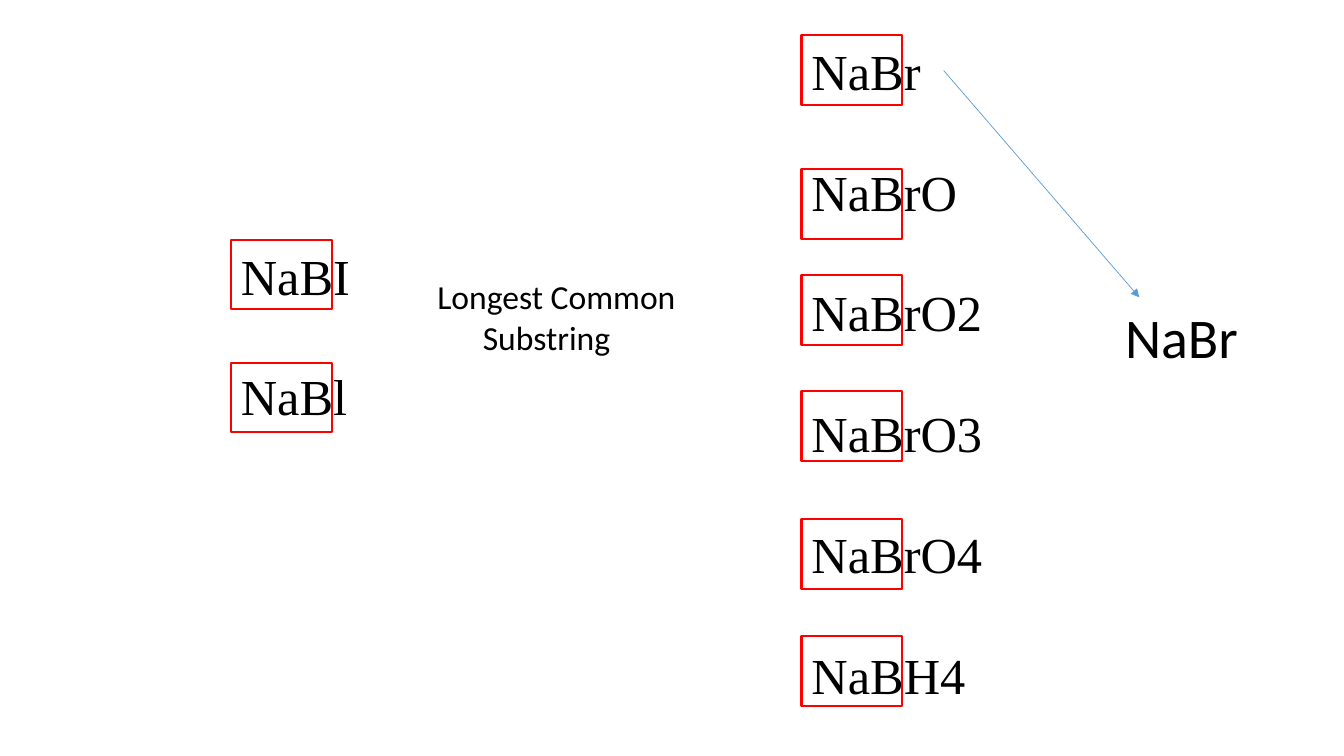
import pptx
import pptx.util
import pptx.dml.color
import pptx.enum.shapes
import pptx.oxml
import pptx.oxml.ns

Inches, Pt = pptx.util.Inches, pptx.util.Pt


def tint(code):
    """Turn a hex string into a colour."""
    return pptx.dml.color.RGBColor.from_string(code)


def write(text, left, top, width, height, font="Calibri", size=24, gap=0, indent=0):
    """Add a text box, one paragraph per line, the later ones spaced and indented."""
    box = slide.shapes.add_textbox(Inches(left), Inches(top), Inches(width), Inches(height))
    frame = box.text_frame
    frame.word_wrap = False
    frame.text = text
    for row, para in enumerate(frame.paragraphs):
        para.font.name, para.font.size = font, Pt(size)
        para.font.color.rgb = tint("000000")
        if row:
            para.space_before = Pt(gap)
            para._p.get_or_add_pPr().set("marL", str(Inches(indent)))


deck = pptx.Presentation()
deck.slide_width, deck.slide_height = Inches(13.33), Inches(7.5)
slide = deck.slides.add_slide(deck.slide_layouts[6])

# Formula columns, with a frame round the shared prefix of each formula
columns = [
    (2.29, 2.38, 1.29, 1.92, "NaBI NaBl", [2.38, 3.6]),
    (7.95, 0.35, 1.91, 6.77, "NaBr NaBrO NaBrO2 NaBrO3 NaBrO4 NaBH4",
     [0.35, 1.68, 2.73, 3.88, 5.15, 6.31]),
]
for left, top, width, height, names, tops in columns:
    write(names.replace(" ", "\n"), left, top, width, height,
          font="Times New Roman", size=36, gap=43)
    for edge in tops:
        frame = slide.shapes.add_shape(pptx.enum.shapes.MSO_SHAPE.RECTANGLE,
                                       Inches(left), Inches(edge), Inches(1), Inches(0.69))
        frame.shadow.inherit = False
        frame.fill.background()
        frame.line.color.rgb = tint("FF0000")
        frame.line.width = Pt(1.5)

# Result and method
write("NaBr", 11.06, 2.95, 1.32, 0.77, size=40)
write("Longest Common\nSubstring", 4.24, 2.69, 2.64, 0.91, indent=0.45)

# Arrow from the first formula to the result
arrow = slide.shapes.add_connector(pptx.enum.shapes.MSO_CONNECTOR.STRAIGHT,
                                   Inches(9.36), Inches(0.7), Inches(11.3), Inches(2.95))
arrow.line.color.rgb = tint("5B9BD5")
arrow.line.width = Pt(0.5)
head = pptx.oxml.parse_xml('<a:tailEnd %s type="triangle"/>' % pptx.oxml.ns.nsdecls("a"))
arrow.line._get_or_add_ln().append(head)
arrow._element.spPr.append(pptx.oxml.parse_xml("<a:effectLst %s/>" % pptx.oxml.ns.nsdecls("a")))

deck.save("out.pptx")
